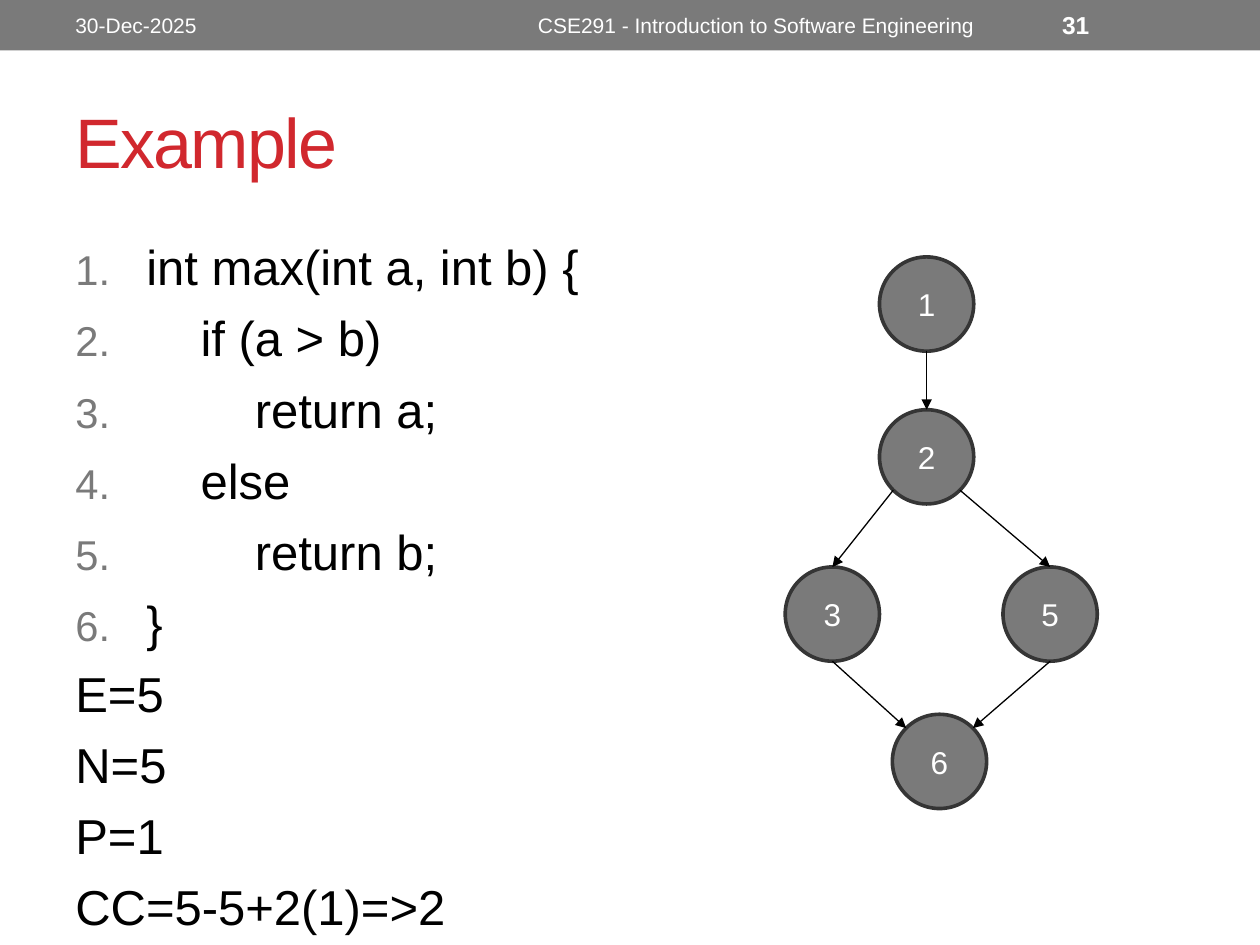
from math import cos, radians, sin

from lxml.etree import SubElement
from pptx import Presentation
from pptx.dml.color import RGBColor
from pptx.enum.shapes import MSO_CONNECTOR as Connector, MSO_SHAPE as Shape
from pptx.enum.text import MSO_ANCHOR as Anchor, PP_ALIGN as Align
from pptx.oxml.ns import qn
from pptx.util import Cm, Pt

GRAY, RED, BLACK, WHITE, OUTLINE = "7A7A7A", "D1282E", "000000", "FFFFFF", "353535"


def color(target, value):
    if hasattr(target, "solid"):
        target.solid()
        target = target.fore_color
    else:
        target = target.color
    target.rgb = RGBColor.from_string(value)


def write(paragraph, text, size, value, align=Align.LEFT, bold=False):
    run = paragraph.add_run()
    run.text = text
    paragraph.alignment = align
    for name, setting in {"name": "Arial", "size": Pt(size), "bold": bold}.items():
        setattr(run.font, name, setting)
    color(run.font, value)
    return run


deck = Presentation()
deck.slide_width, deck.slide_height = Cm(25.4), Cm(19.05)
slide = deck.slides.add_slide(deck.slide_layouts[5])
shapes = slide.shapes

header = shapes.add_shape(Shape.RECTANGLE, 0, 0, deck.slide_width, Cm(1.02))
header.shadow.inherit = False
color(header.fill, GRAY)
header.line.fill.background()

heading = shapes.title
heading_format = {"left": Cm(1.27), "top": Cm(1.47), "width": Cm(22.86), "height": Cm(2.74)}
for name, setting in heading_format.items():
    setattr(heading, name, setting)
heading.text_frame.vertical_anchor = Anchor.MIDDLE
heading_run = write(heading.text_frame.paragraphs[0], "Example", 40, RED)
heading_run.font._element.set("spc", "-100")

listing = [
    "int max(int a, int b) {",
    "    if (a > b)",
    "        return a;",
    "    else",
    "        return b;",
    "}",
]
complexity = ["E=5", "N=5", "P=1", "CC=5-5+2(1)=>2"]
body = shapes.add_textbox(Cm(1.27), Cm(4.65), Cm(11.23), Cm(13.1)).text_frame
body.word_wrap = True
for index, line in enumerate(listing + complexity):
    paragraph = body.add_paragraph() if index else body.paragraphs[0]
    if index:
        paragraph.space_before = Pt(7)
    if index < len(listing):
        properties = paragraph._p.get_or_add_pPr()
        properties.set("marL", str(Cm(1.43)))
        properties.set("indent", str(Cm(-1.43)))
        bullet_color = SubElement(properties, qn("a:buClr"))
        SubElement(bullet_color, qn("a:srgbClr"), val=GRAY)
        SubElement(properties, qn("a:buSzPct"), val="85000")
        SubElement(properties, qn("a:buFont"), typeface="Arial")
        SubElement(properties, qn("a:buAutoNum"), type="arabicPeriod")
    write(paragraph, line, 28, BLACK)

header_texts = [
    ("30-Dec-2025", 1.27, 8.05, 12, Align.LEFT, False),
    ("CSE291 - Introduction to Software Engineering", 9.53, 11.43, 12, Align.CENTER, False),
    ("31", 21.16, 2.97, 14, Align.LEFT, True),
]
for text, left, width, size, align, bold in header_texts:
    frame = shapes.add_textbox(Cm(left), Cm(0.05), Cm(width), Cm(0.91)).text_frame
    frame.word_wrap = True
    frame.vertical_anchor = Anchor.MIDDLE
    write(frame.paragraphs[0], text, size, WHITE, align, bold)

diameter = 1.9
centers = {
    "1": (18.68, 6.13),
    "2": (18.68, 9.21),
    "5": (21.17, 12.38),
    "3": (16.78, 12.38),
    "6": (18.94, 15.35),
}
for label, (x, y) in centers.items():
    node = shapes.add_shape(Shape.OVAL, Cm(x - diameter / 2), Cm(y - diameter / 2),
                            Cm(diameter), Cm(diameter))
    node.shadow.inherit = False
    color(node.fill, GRAY)
    color(node.line, OUTLINE)
    node.line.width = Pt(2.08)
    node.text_frame.vertical_anchor = Anchor.MIDDLE
    write(node.text_frame.paragraphs[0], label, 18, WHITE, Align.CENTER)

edges = [
    ("1", 90, "2", 270),
    ("2", 135, "3", 270),
    ("2", 45, "5", 270),
    ("3", 90, "6", 225),
    ("5", 90, "6", 315),
]
for source, exit_angle, target, entry_angle in edges:
    ends = []
    for label, angle in ((source, exit_angle), (target, entry_angle)):
        x, y = centers[label]
        ends += [Cm(x + diameter / 2 * cos(radians(angle))),
                 Cm(y + diameter / 2 * sin(radians(angle)))]
    edge = shapes.add_connector(Connector.STRAIGHT, *ends)
    color(edge.line, BLACK)
    edge.line.width = Pt(0.75)
    SubElement(edge.line._get_or_add_ln(), qn("a:tailEnd"), type="triangle")
    SubElement(edge._element.spPr, qn("a:effectLst"))

deck.save("out.pptx")
